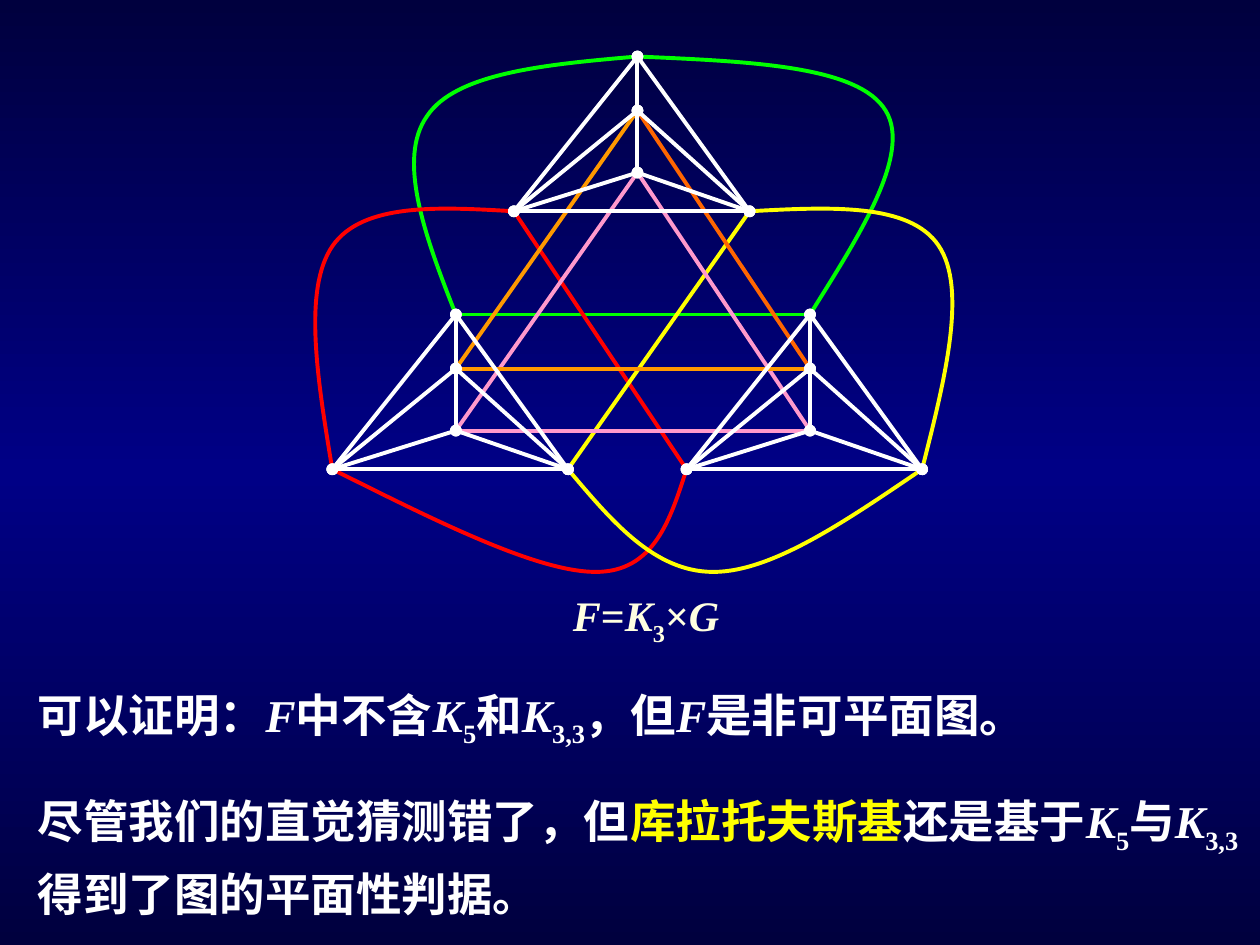
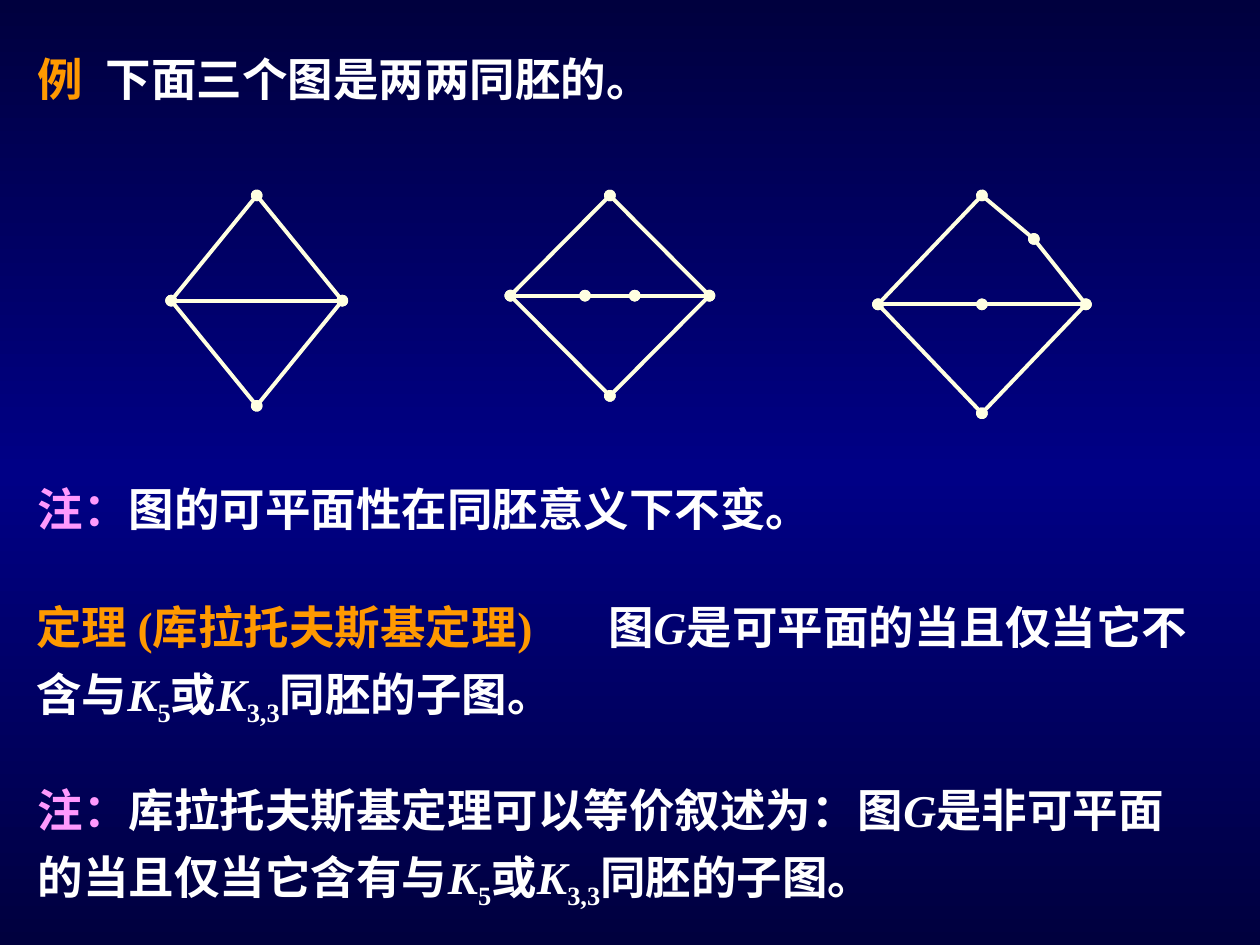
from copy import deepcopy
from itertools import combinations, pairwise

from lxml import etree
from pptx import Presentation
from pptx.dml.color import RGBColor
from pptx.enum.shapes import MSO_CONNECTOR as Conn
from pptx.enum.text import MSO_AUTO_SIZE as AutoSize
from pptx.oxml.ns import qn
from pptx.util import Cm, Pt

COLORS = {
    "edge": "00003E", "middle": "000086", "white": "FFFFFF", "cream": "FFFFE1",
    "yellow": "FFFF00", "green": "00FF00", "red": "FF0000", "pink": "FF99CC",
    "orange": "FF9900", "deep": "FF6600", "note": "FF99FD",
}
LINE_WIDTH = Pt(2.25)

# Run styles: italic variable and subscript
VAR = {"italic": True}
SUB = {"sub": True}
K5 = [("K", VAR), ("5", SUB)]
K33 = [("K", VAR), ("3,3", SUB)]

# Tetrahedron vertices, in cm from the apex
TETRA = [(0, 0), (0, 1.09), (0, 2.34), (-2.49, 3.12), (2.26, 3.12)]
APEXES = {"top": (6.75, 0), "left": (3.09, 5.2), "right": (10.23, 5.2)}

# Straight links: colour, vertex number, tetrahedra joined
LINKS = [
    ("green", 0, "left", "right"),
    ("red", 3, "top", "right"), ("yellow", 4, "top", "left"),
    ("pink", 2, "left", "right"), ("pink", 2, "top", "left"),
    ("pink", 2, "top", "right"), ("orange", 1, "top", "left"),
    ("deep", 1, "top", "right"), ("orange", 1, "left", "right"),
]

# Curved links: colour, vertex number, tetrahedra joined, points between
CURVES = [
    ("green", 0, "top", "left",
     [(4.9, 0.16), (3.09, 0.33), (2.51, 1.2), (1.9, 2.06), (2.46, 3.61)]),
    ("green", 0, "top", "right",
     [(8.99, 0.1), (11.22, 0.18), (11.76, 1.1), (12.29, 1.98), (11.17, 3.69)]),
    ("red", 3, "top", "left",
     [(2.74, 3.03), (1.22, 2.95), (0.61, 3.81), (0, 4.68), (0.3, 6.51)]),
    ("red", 3, "right", "left",
     [(7.41, 9.35), (7.08, 10.39), (5.91, 10.39), (4.72, 10.39), (2.66, 9.35)]),
    ("yellow", 4, "top", "right",
     [(10.64, 3.03), (12.24, 2.95), (12.82, 3.81), (13.41, 4.68), (12.95, 6.51)]),
    ("yellow", 4, "left", "right",
     [(6.22, 9.35), (7.08, 10.39), (8.28, 10.39), (9.47, 10.39), (10.97, 9.35)]),
]

# Diamond graphs: box in cm, extra nodes on the upper right side and the axis
DIAMONDS = [
    ((3.45, 3.94, 3.45, 4.24), [], []),
    ((10.29, 3.94, 4.01, 4.04), [], [(0.375, 0.5), (0.625, 0.5)]),
    ((17.7, 3.94, 4.19, 4.39), [(0.75, 0.2)], [(0.5, 0.5)]),
]


def rgb(name):
    return RGBColor.from_string(COLORS[name])


def set_background(master):
    """Vertical gradient, dark at both ends."""
    fill = master.background.fill
    fill.gradient()
    fill.gradient_angle = 90
    stops = master._element.find(".//" + qn("a:gsLst"))
    stops.insert(1, deepcopy(stops[0]))
    for stop, color, pos in zip(fill.gradient_stops,
                                ("edge", "middle", "edge"), (0, 0.5, 1)):
        stop.color.rgb = rgb(color)
        stop.position = pos


def add_text(slide, box, runs, size=26, color="white", spacing=None, tab=None):
    tf = slide.shapes.add_textbox(*map(Cm, box)).text_frame
    tf.word_wrap = True
    tf.auto_size = AutoSize.SHAPE_TO_FIT_TEXT
    p = tf.paragraphs[0]
    if tab:
        tabs = etree.SubElement(p._p.get_or_add_pPr(), qn("a:tabLst"))
        etree.SubElement(tabs, qn("a:tab"), pos=str(Cm(tab)), algn="l")
    if spacing:
        p.line_spacing = spacing
    for run in runs:
        text, style = (run, {}) if isinstance(run, str) else run
        r = p.add_run()
        r.text = text
        fmt = {"name": "Times New Roman", "size": Pt(size), "bold": True,
               "italic": style.get("italic", False)}
        for key, value in fmt.items():
            setattr(r.font, key, value)
        r.font.color.rgb = rgb(style.get("color", color))
        if style.get("sub"):
            r._r.get_or_add_rPr().set("baseline", "-25000")


def style_line(s, color):
    s.line.color.rgb = rgb(color)
    s.line.width = LINE_WIDTH


def add_line(slide, start, end, color, dots=False):
    s = slide.shapes.add_connector(Conn.STRAIGHT, *map(Cm, (*start, *end)))
    style_line(s, color)
    etree.SubElement(s._element.spPr, qn("a:effectLst"))
    if dots:
        ln = s.line._get_or_add_ln()
        for tag in ("a:headEnd", "a:tailEnd"):
            etree.SubElement(ln, qn(tag), type="oval")


def add_curve(slide, points, color):
    """Cubic curve: a start, then two control points and an end per piece."""
    pts = [(Cm(x), Cm(y)) for x, y in points]
    builder = slide.shapes.build_freeform(*pts[0])
    builder.add_line_segments(pts[1:], close=False)
    s = builder.convert_to_shape()
    s.shadow.inherit = False
    s.fill.background()
    style_line(s, color)
    # Turn every three straight segments into one cubic piece
    outline = s._element.spPr.find(".//" + qn("a:path"))
    steps = outline.findall(qn("a:lnTo"))
    for i in range(0, len(steps), 3):
        cubic = etree.SubElement(outline, qn("a:cubicBezTo"))
        for step in steps[i:i + 3]:
            cubic.append(step[0])
            outline.remove(step)


def draw_product(slide, left, top):
    """Three tetrahedra joined vertex by vertex."""
    nodes = {name: [(left + ax + x, top + ay + y) for x, y in TETRA]
             for name, (ax, ay) in APEXES.items()}
    for color, n, a, b, middle in CURVES:
        inner = [(left + x, top + y) for x, y in middle]
        add_curve(slide, [nodes[a][n], *inner, nodes[b][n]], color)
    for color, n, a, b in LINKS:
        add_line(slide, nodes[a][n], nodes[b][n], color)
    for tetra in nodes.values():
        for i, j in combinations(range(len(TETRA)), 2):
            if (i, j) != (0, 2):  # the inner node lies between these two
                add_line(slide, tetra[i], tetra[j], "white", dots=True)


def draw_diamond(slide, box, side_nodes, axis_nodes):
    """Diamond with a horizontal axis, in fractions of its box."""
    left, top, width, height = box
    north, west, east, south = (0.5, 0), (0, 0.5), (1, 0.5), (0.5, 1)
    chains = [[north, west, south, east],
              [north, *side_nodes, east],
              [west, *axis_nodes, east]]
    for chain in chains:
        nodes = [(left + x * width, top + y * height) for x, y in chain]
        for start, end in pairwise(nodes):
            add_line(slide, start, end, "cream", dots=True)


def build_product_slide(slide):
    draw_product(slide, 6.1, 1.14)
    # Caption
    add_text(slide, (11.3, 11.53, 4.11, 1.65),
             [("F", VAR), "=", ("K", VAR), ("3", SUB), "×", ("G", VAR)],
             size=24, color="cream", spacing=1.2)
    # Conclusions
    add_text(slide, (0.51, 13.72, 23.39, 1.52),
             ["可以证明：", ("F", VAR), "中不含", *K5, "和", *K33,
              "，但", ("F", VAR), "是非可平面图。"])
    add_text(slide, (0.51, 15.62, 24.71, 3.28),
             ["尽管我们的直觉猜测错了，但", ("库拉托夫斯基", {"color": "yellow"}),
              "还是基于", *K5, "与", *K33, "得到了图的平面性判据。"], spacing=1.2)


def build_theorem_slide(slide):
    orange, note = {"color": "orange"}, {"color": "note"}
    # Example
    add_text(slide, (0.51, 0.91, 19.61, 1.37),
             [("例\t", orange), "下面三个图是两两同胚的。"], tab=1.37)
    for diamond in DIAMONDS:
        draw_diamond(slide, *diamond)
    # Notes and theorem
    add_text(slide, (0.51, 9.58, 20.96, 1.37),
             [("注：", note), "图的可平面性在同胚意义下不变。"])
    add_text(slide, (0.48, 11.73, 24, 3.07),
             [("定理 (库拉托夫斯基定理)\t", orange), "图", ("G", VAR),
              "是可平面的当且仅当它不含与", *K5, "或", *K33, "同胚的子图。"],
             spacing=1.2, tab=11.53)
    add_text(slide, (0.51, 15.42, 23.88, 3.07),
             [("注：", note), "库拉托夫斯基定理可以等价叙述为：图", ("G", VAR),
              "是非可平面的当且仅当它含有与", *K5, "或", *K33, "同胚的子图。"],
             spacing=1.2)


def main():
    prs = Presentation()
    prs.slide_width, prs.slide_height = Cm(25.4), Cm(19.05)
    set_background(prs.slide_master)
    blank = prs.slide_layouts[6]
    for build in (build_product_slide, build_theorem_slide):
        build(prs.slides.add_slide(blank))
    prs.save("out.pptx")


if __name__ == "__main__":
    main()
